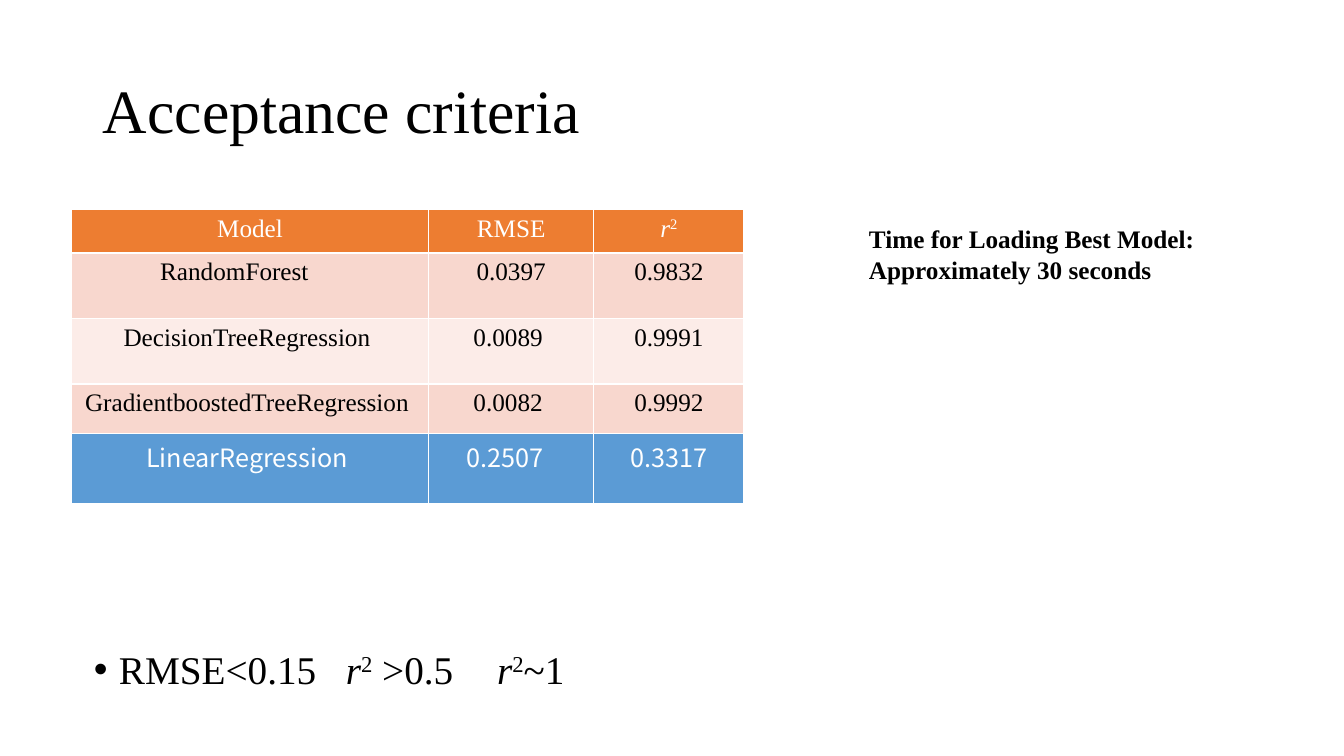
import pptx
import pptx.util
import pptx.dml.color
import pptx.enum.text

Inches = pptx.util.Inches
Pt = pptx.util.Pt
Align = pptx.enum.text.PP_ALIGN
Anchor = pptx.enum.text.MSO_ANCHOR

SERIF = "Times New Roman"
SANS = "Noto Sans CJK SC"
COLORS = {
    "text": "000000",
    "light_text": "FFFFFF",
    "header": "ED7D31",
    "band_dark": "F8D7CE",
    "band_light": "FCECE8",
    "rejected": "5B9BD5",
}
R_SQUARED = [("r", "italic"), ("2", "superscript")]
COLUMN_WIDTHS = [3.54, 1.64, 1.49]
MODEL_ROWS = [
    (["Model", "RMSE", R_SQUARED], 0.43, "header", "light_text", [0, 0, 0]),
    (["RandomForest", "0.0397", "0.9832"], 0.65, "band_dark", "text", [0.31, 0, 0]),
    (["DecisionTreeRegression", "0.0089", "0.9991"], 0.65, "band_light", "text", [0.06, 0.06, 0]),
    (["GradientboostedTreeRegression", "0.0082", "0.9992"], 0.49, "band_dark", "text", [0.06, 0.06, 0]),
]
REJECTED_ROWS = [
    (["LinearRegression", "0.2507", "0.3317"], 0.7, "rejected", "light_text", [0.06, 0.12, 0]),
]


def rgb(name):
    return pptx.dml.color.RGBColor.from_string(COLORS[name])


def write(paragraph, content, size, font=SERIF, color="text", bold=False):
    pieces = [(content, None)] if isinstance(content, str) else content
    for text, style in pieces:
        run = paragraph.add_run()
        run.text = text
        if style == "italic":
            run.font.italic = True
        elif style == "superscript":
            run._r.get_or_add_rPr().set("baseline", "30000")
    paragraph.font.name = font
    paragraph.font.size = Pt(size)
    paragraph.font.bold = bold
    paragraph.font.color.rgb = rgb(color)


def place(shape, left, top, width, height, anchor):
    shape.left, shape.top = Inches(left), Inches(top)
    shape.width, shape.height = Inches(width), Inches(height)
    frame = shape.text_frame
    frame.auto_size = pptx.enum.text.MSO_AUTO_SIZE.NONE
    frame.vertical_anchor = anchor
    paragraph = frame.paragraphs[0]
    paragraph.alignment = Align.LEFT
    paragraph.line_spacing = 0.9
    return paragraph


def add_title(slide, left, top, width, height):
    paragraph = place(slide.shapes.title, left, top, width, height, Anchor.MIDDLE)
    write(paragraph, "Acceptance criteria", 44)


def add_criteria(slide, left, top, width, height):
    paragraph = place(slide.placeholders[1], left, top, width, height, Anchor.BOTTOM)
    properties = paragraph._p.get_or_add_pPr()
    properties.set("marL", str(Inches(0.25)))
    properties.set("indent", str(Inches(-0.25)))
    paragraph.space_before = Pt(10)
    pieces = [("RMSE<0.15\t", None), *R_SQUARED, (" >0.5\t", None), *R_SQUARED, ("~1", None)]
    write(paragraph, pieces, 28)


def add_score_table(slide, left, top, rows, font):
    height = sum(row[1] for row in rows)
    frame = slide.shapes.add_table(
        len(rows), len(COLUMN_WIDTHS), Inches(left), Inches(top),
        Inches(sum(COLUMN_WIDTHS)), Inches(height))
    table = frame.table
    for column, width in zip(table.columns, COLUMN_WIDTHS):
        column.width = Inches(width)
    for row, (contents, row_height, fill, color, shifts) in zip(table.rows, rows):
        row.height = Inches(row_height)
        for cell, content, shift in zip(row.cells, contents, shifts):
            cell.fill.solid()
            cell.fill.fore_color.rgb = rgb(fill)
            cell.margin_right = Inches(0.1 + shift)
            paragraph = cell.text_frame.paragraphs[0]
            paragraph.alignment = Align.CENTER
            write(paragraph, content, 18, font, color)


def add_loading_time(slide, left, top, width, height):
    box = slide.shapes.add_textbox(Inches(left), Inches(top), Inches(width), Inches(height))
    frame = box.text_frame
    frame.word_wrap = False
    write(frame.paragraphs[0], "Time for Loading Best Model:", 18, bold=True)
    write(frame.add_paragraph(), "Approximately 30 seconds", 18, bold=True)


def main():
    presentation = pptx.Presentation()
    presentation.slide_width = Inches(13.33)
    presentation.slide_height = Inches(7.5)
    slide = presentation.slides.add_slide(presentation.slide_layouts[1])
    add_title(slide, 0.92, 0.4, 11.5, 1.45)
    add_criteria(slide, 0.83, 5.79, 11.5, 1.13)
    add_score_table(slide, 0.71, 2.08, MODEL_ROWS, SERIF)
    add_loading_time(slide, 8.52, 2.17, 3.52, 0.71)
    add_score_table(slide, 0.71, 4.3, REJECTED_ROWS, SANS)
    presentation.save("out.pptx")


if __name__ == "__main__":
    main()
